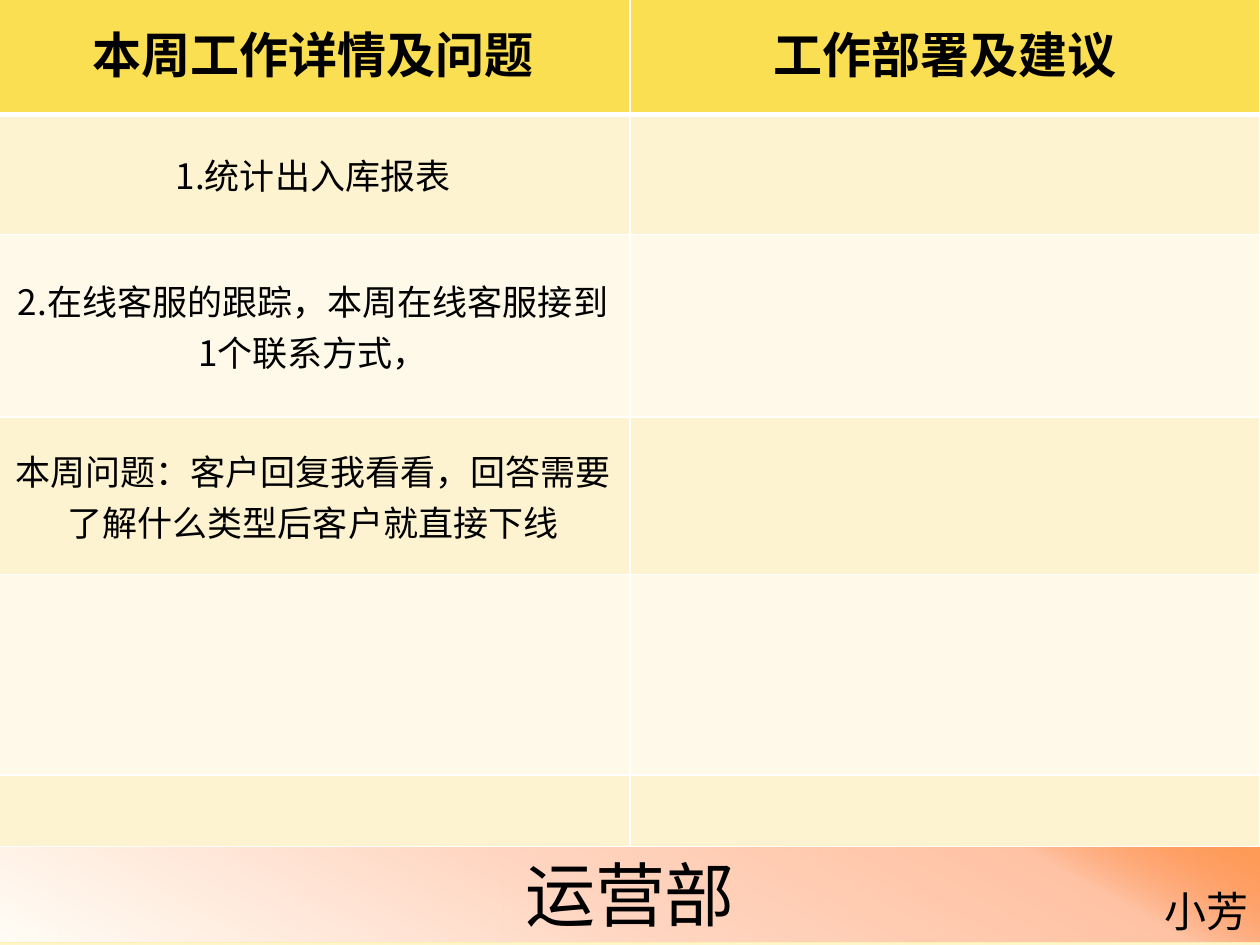
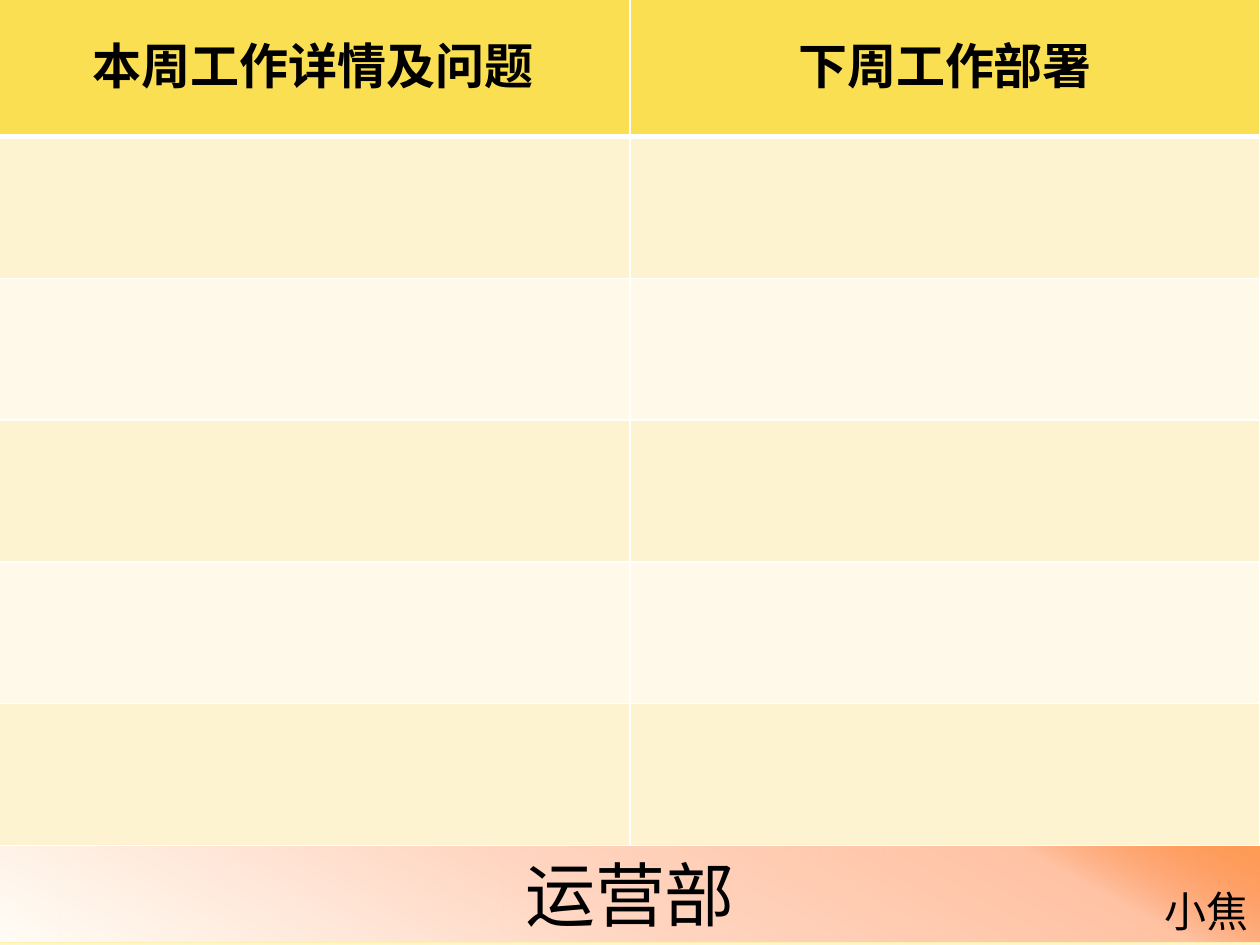
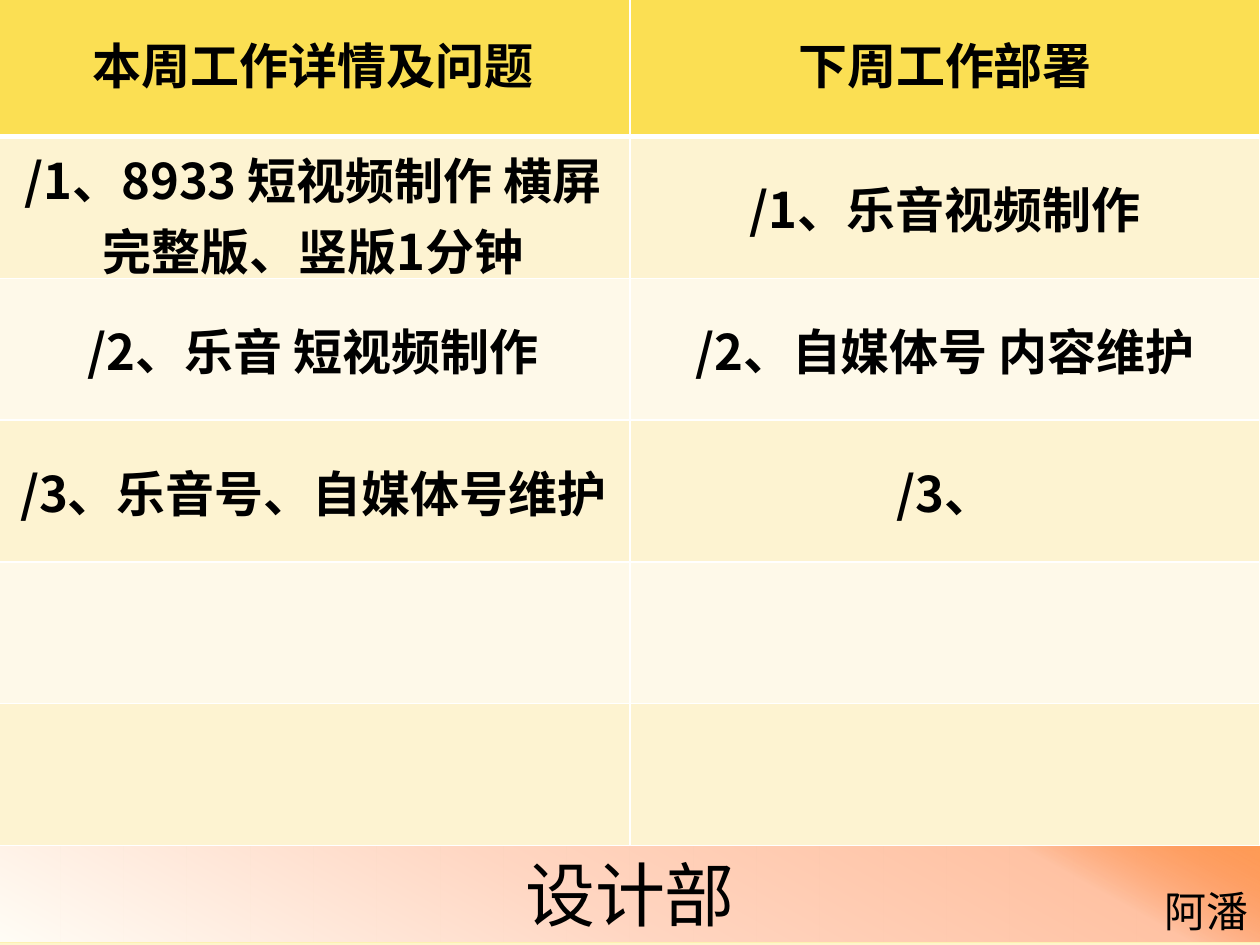
from lxml import etree
from pptx import Presentation
from pptx.dml.color import RGBColor
from pptx.enum import shapes, text
from pptx.oxml import ns
from pptx.util import Inches, Pt

FONT = "Noto Sans CJK SC"
COLORS = {
    "ink": "000000", "rule": "FFFFFF", "header": "FBDF53",
    "row_dark": "FDF3D1", "row_light": "FEF9E9", "band_edge": "FDF1B2",
}
# Each stop: position in percent, colour, opacity in percent
PAGE_STOPS = [(0, "FFFDF6", 100), (74, "FDF1B2", 100), (83, "FDF1B2", 100), (100, "FEF5CB", 100)]
BAND_STOPS = [(0, "FFFDF6", 100), (45, "FFD6C2", 100), (83, "FFC2A3", 100), (100, "FF5D0D", 58)]

TABLE_BOX = (-0.03, -0.04, 10.03, 6.75)
FOOTER_BOX = (-0.02, 6.71, 10.04, 0.77)
LEFT_COLUMN = 5.03
THIS_WEEK = "本周工作详情及问题"
NEXT_WEEK = "下周工作部署"

REPORTS = [
    {
        "department": "运营部", "person": "小芳", "size": 20, "bold": False,
        "heights": [0.95, 0.95, 1.45, 1.25, 1.59, 0.57],
        "rows": [
            (THIS_WEEK, "工作部署及建议"),
            ("1.统计出入库报表", ""),
            ("2.在线客服的跟踪，本周在线客服接到1个联系方式，", ""),
            ("本周问题：客户回复我看看，回答需要 了解什么类型后客户就直接下线", ""),
        ],
    },
    {
        "department": "运营部", "person": "小焦", "size": 28, "bold": True,
        "heights": [TABLE_BOX[3] / 6] * 6,
        "rows": [(THIS_WEEK, NEXT_WEEK)],
    },
    {
        "department": "设计部", "person": "阿潘", "size": 28, "bold": True,
        "heights": [TABLE_BOX[3] / 6] * 6,
        "rows": [
            (THIS_WEEK, NEXT_WEEK),
            ("/1、8933 短视频制作 横屏完整版、竖版1分钟", "/1、乐音视频制作"),
            ("/2、乐音 短视频制作", "/2、自媒体号 内容维护"),
            ("/3、乐音号、自媒体号维护", "/3、"),
        ],
    },
]


def rgb(name):
    """Return the named colour."""
    return RGBColor.from_string(COLORS[name])


def write(frame, words, size=28, bold=False, align=text.PP_ALIGN.CENTER, color="ink"):
    """Put one formatted paragraph in a text frame."""
    paragraph = frame.paragraphs[0]
    paragraph.alignment = align
    run = paragraph.add_run()
    run.text = words
    run.font.size, run.font.bold, run.font.name = Pt(size), bold, FONT
    run.font.color.rgb = rgb(color)
    etree.SubElement(run.font._element, ns.qn("a:ea"), typeface=FONT)


def paint_gradient(fill, element, stops, angle):
    """Fill with a linear gradient; the angle runs clockwise."""
    fill.gradient()
    fill.gradient_angle = 360 - angle
    stop_list = element.find(".//" + ns.qn("a:gsLst"))
    for stop in list(stop_list):
        stop_list.remove(stop)
    for position, color, opacity in stops:
        stop = etree.SubElement(stop_list, ns.qn("a:gs"), pos=str(position * 1000))
        tint = etree.SubElement(stop, ns.qn("a:srgbClr"), val=color)
        if opacity < 100:
            etree.SubElement(tint, ns.qn("a:alpha"), val=str(opacity * 1000))


def rule_cell(cell, top=1, bottom=1):
    """Draw the four borders of a cell, widths in points."""
    properties = cell._tc.get_or_add_tcPr()
    for side, width in (("L", 1), ("R", 1), ("T", top), ("B", bottom)):
        line = etree.SubElement(properties, ns.qn("a:ln" + side), w=str(Pt(width)))
        solid = etree.SubElement(line, ns.qn("a:solidFill"))
        etree.SubElement(solid, ns.qn("a:srgbClr"), val=COLORS["rule"])


def add_work_table(slide, box, report):
    """Place the two-column table of work done and work planned."""
    heights = report["heights"]
    table = slide.shapes.add_table(len(heights), 2, *map(Inches, box)).table
    table.columns[0].width = Inches(LEFT_COLUMN)
    table.columns[1].width = Inches(box[2] - LEFT_COLUMN)
    for row, height in enumerate(heights):
        table.rows[row].height = Inches(height)
        entries = report["rows"][row] if row < len(report["rows"]) else ("", "")
        is_header = row == 0
        shade = "header" if is_header else "row_dark" if row % 2 else "row_light"
        for column, entry in enumerate(entries):
            cell = table.cell(row, column)
            rule_cell(cell, top=3 if row == 1 else 1, bottom=3 if is_header else 1)
            cell.fill.solid()
            cell.fill.fore_color.rgb = rgb(shade)
            cell.vertical_anchor = text.MSO_ANCHOR.MIDDLE
            if is_header:
                cell.margin_left = cell.margin_right = cell.margin_top = Inches(0.01)
            if entry:
                write(cell.text_frame, entry,
                      size=28 if is_header else report["size"],
                      bold=is_header or report["bold"])


def add_footer(slide, box, department, person):
    """Place the department band with the person's name at its right end."""
    left, top, width, height = box
    band = slide.shapes.add_shape(shapes.MSO_SHAPE.RECTANGLE, *map(Inches, box))
    band.shadow.inherit = False
    paint_gradient(band.fill, band._element, BAND_STOPS, 299)
    band.line.color.rgb = rgb("band_edge")
    band.line.width = Pt(0.75)
    band.text_frame.auto_size = text.MSO_AUTO_SIZE.SHAPE_TO_FIT_TEXT
    band.text_frame.vertical_anchor = text.MSO_ANCHOR.MIDDLE
    write(band.text_frame, department, size=40)

    name_width, name_height = 0.87, 0.5
    name = slide.shapes.add_textbox(
        Inches(left + width - name_width - 0.01), Inches(top + height - name_height),
        Inches(name_width), Inches(name_height))
    name.text_frame.word_wrap = False
    name.text_frame.auto_size = text.MSO_AUTO_SIZE.SHAPE_TO_FIT_TEXT
    write(name.text_frame, person, size=24, align=text.PP_ALIGN.RIGHT)


def add_report(deck, report):
    """Add one weekly report slide."""
    slide = deck.slides.add_slide(deck.slide_layouts[6])
    paint_gradient(slide.background.fill, slide._element, PAGE_STOPS, 90)
    add_footer(slide, FOOTER_BOX, report["department"], report["person"])
    add_work_table(slide, TABLE_BOX, report)


deck = Presentation()
deck.slide_width, deck.slide_height = Inches(10), Inches(7.5)
for weekly_report in REPORTS:
    add_report(deck, weekly_report)
deck.save("out.pptx")
